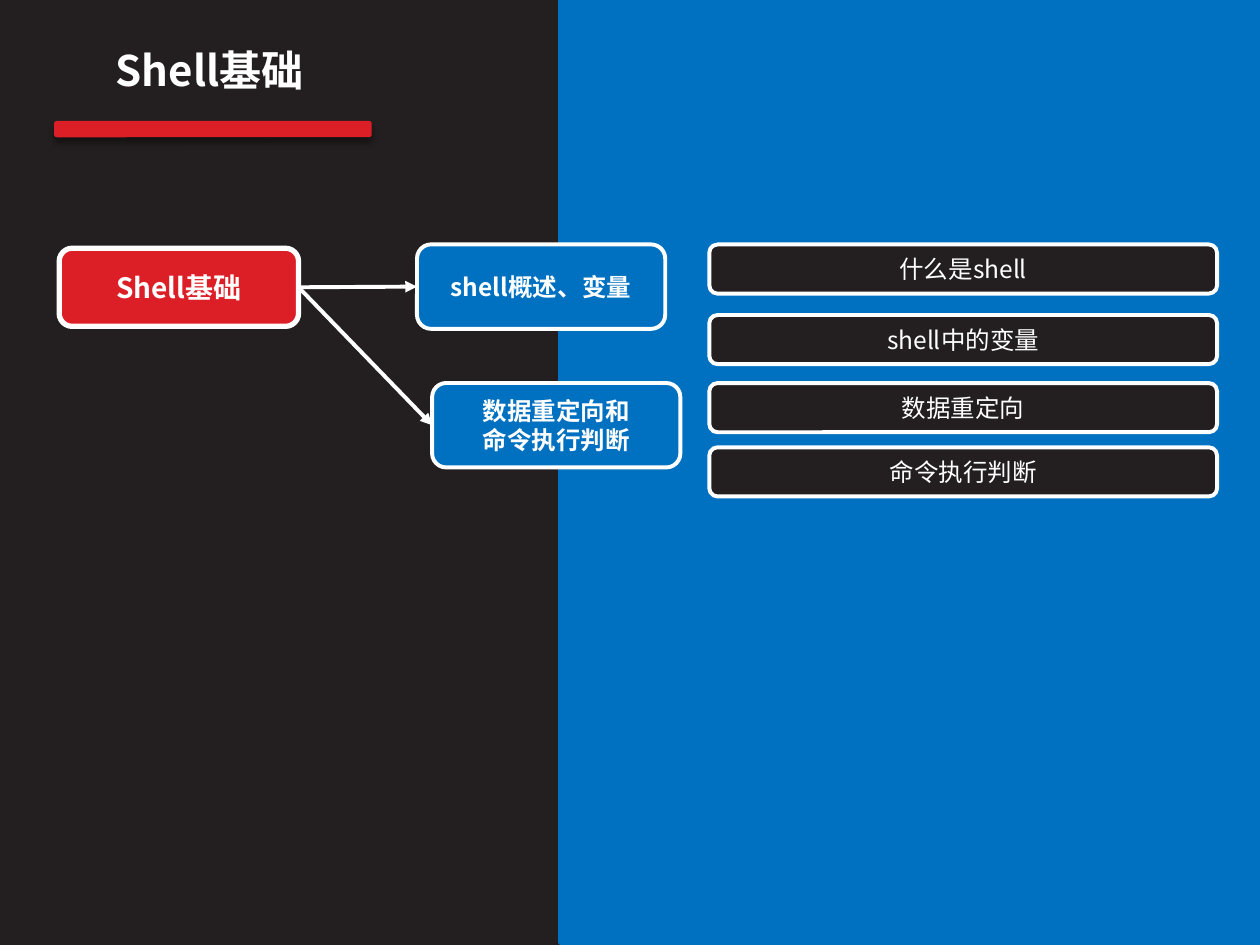
"""Build the Shell basics outline slide on a grid of 100 columns by 75 rows."""
from dataclasses import dataclass

from lxml.etree import SubElement
from pptx import Presentation
from pptx.dml.color import RGBColor as RGB
from pptx.enum.shapes import MSO_CONNECTOR as Link, MSO_SHAPE as Preset
from pptx.enum.text import MSO_ANCHOR as Anchor, PP_ALIGN as Align
from pptx.oxml.ns import qn
from pptx.util import Inches, Pt


@dataclass(frozen=True)
class Theme:
    dark: str = "231F20"
    blue: str = "0070C0"
    red: str = "DC1F26"
    white: str = "FFFFFF"
    shadow: str = "000000"
    font: str = "Noto Sans CJK SC"
    title_size: int = 24
    root_size: int = 16
    body_size: int = 14
    heavy_line: float = 3
    line: float = 2.25


THEME = Theme()
COLUMNS, ROWS = 100, 75
WIDTH, HEIGHT = Inches(10), Inches(7.5)

TITLE = "Shell基础"
TITLE_AREA = (2.8, 3, 27.7, 7.1)
TITLE_RULE = (4.3, 9.6, 25.2, 1.3)
SIDE_PANEL = (44.5, 0, 55.5, 74.8)

ROOT = "Shell基础"
ROOT_AREA = (4.7, 19.7, 19, 6.2)
CHAPTERS = [
    ("shell概述、变量", 33.1, 19.4),
    ("数据重定向和\n命令执行判断", 34.3, 30.4),
]
CHAPTER_SIZE = (19.7, 6.7)
TOPICS = [
    ("什么是shell", 19.4),
    ("shell中的变量", 25),
    ("数据重定向", 30.4),
    ("命令执行判断", 35.5),
]
TOPIC_LEFT = 56.3
TOPIC_SIZE = (40.3, 3.9)


def place(column, row):
    return int(WIDTH * column / COLUMNS), int(HEIGHT * row / ROWS)


def frame(area):
    return *place(*area[:2]), *place(*area[2:])


def write(holder, wording, size, bold):
    holder.text_frame.word_wrap = True
    holder.text_frame.text = wording
    for paragraph in holder.text_frame.paragraphs:
        paragraph.alignment = Align.CENTER
        for run in paragraph.runs:
            run.font.size, run.font.bold = Pt(size), bold
            run.font.color.rgb = RGB.from_string(THEME.white)
            run.font.name = THEME.font
            SubElement(run.font._element, qn("a:ea"), typeface=THEME.font)


def add_block(shapes, preset, area, fill, border=None, weight=0):
    block = shapes.add_shape(preset, *frame(area))
    block.shadow.inherit = False
    block.fill.solid()
    block.fill.fore_color.rgb = RGB.from_string(fill)
    if border:
        block.line.color.rgb = RGB.from_string(border)
        block.line.width = Pt(weight)
    else:
        block.line.fill.background()
    return block


def add_card(shapes, wording, area, fill, size=THEME.body_size, bold=False, weight=THEME.line):
    card = add_block(shapes, Preset.ROUNDED_RECTANGLE, area, fill, THEME.white, weight)
    card.text_frame.vertical_anchor = Anchor.MIDDLE
    write(card, wording, size, bold)


def add_arrow(shapes, start, end):
    arrow = shapes.add_connector(Link.STRAIGHT, *place(*start), *place(*end))
    arrow.line.color.rgb = RGB.from_string(THEME.white)
    arrow.line.width = Pt(THEME.line)
    SubElement(arrow.line._get_or_add_ln(), qn("a:tailEnd"), type="triangle")
    SubElement(arrow._element.spPr, qn("a:effectLst"))


def add_shadow(block):
    effects = block._element.spPr.find(qn("a:effectLst"))
    shadow = SubElement(effects, qn("a:outerShdw"), blurRad=str(Pt(4)), dist=str(Pt(3)),
                        dir="5400000", algn="t", rotWithShape="0")
    colour = SubElement(shadow, qn("a:srgbClr"), val=THEME.shadow)
    SubElement(colour, qn("a:alpha"), val="43000")


def add_heading(shapes):
    heading = shapes.add_group_shape().shapes
    write(heading.add_textbox(*frame(TITLE_AREA)), TITLE, THEME.title_size, True)
    add_shadow(add_block(heading, Preset.ROUNDED_RECTANGLE, TITLE_RULE, THEME.red))


def main():
    deck = Presentation()
    deck.slide_width, deck.slide_height = WIDTH, HEIGHT
    slide = deck.slides.add_slide(deck.slide_layouts[6])
    slide.background.fill.solid()
    slide.background.fill.fore_color.rgb = RGB.from_string(THEME.dark)
    shapes = slide.shapes

    add_block(shapes, Preset.RECTANGLE, SIDE_PANEL, THEME.blue, THEME.blue, THEME.heavy_line)
    add_heading(shapes)
    add_card(shapes, ROOT, ROOT_AREA, THEME.red, THEME.root_size, True, THEME.heavy_line)
    for wording, row in TOPICS:
        add_card(shapes, wording, (TOPIC_LEFT, row, *TOPIC_SIZE), THEME.dark)

    left, top, width, height = ROOT_AREA
    branch = (left + width, top + height / 2)
    for wording, column, row in CHAPTERS:
        add_card(shapes, wording, (column, row, *CHAPTER_SIZE), THEME.blue, bold=True)
        add_arrow(shapes, branch, (column, row + CHAPTER_SIZE[1] / 2))

    deck.save("out.pptx")


if __name__ == "__main__":
    main()
